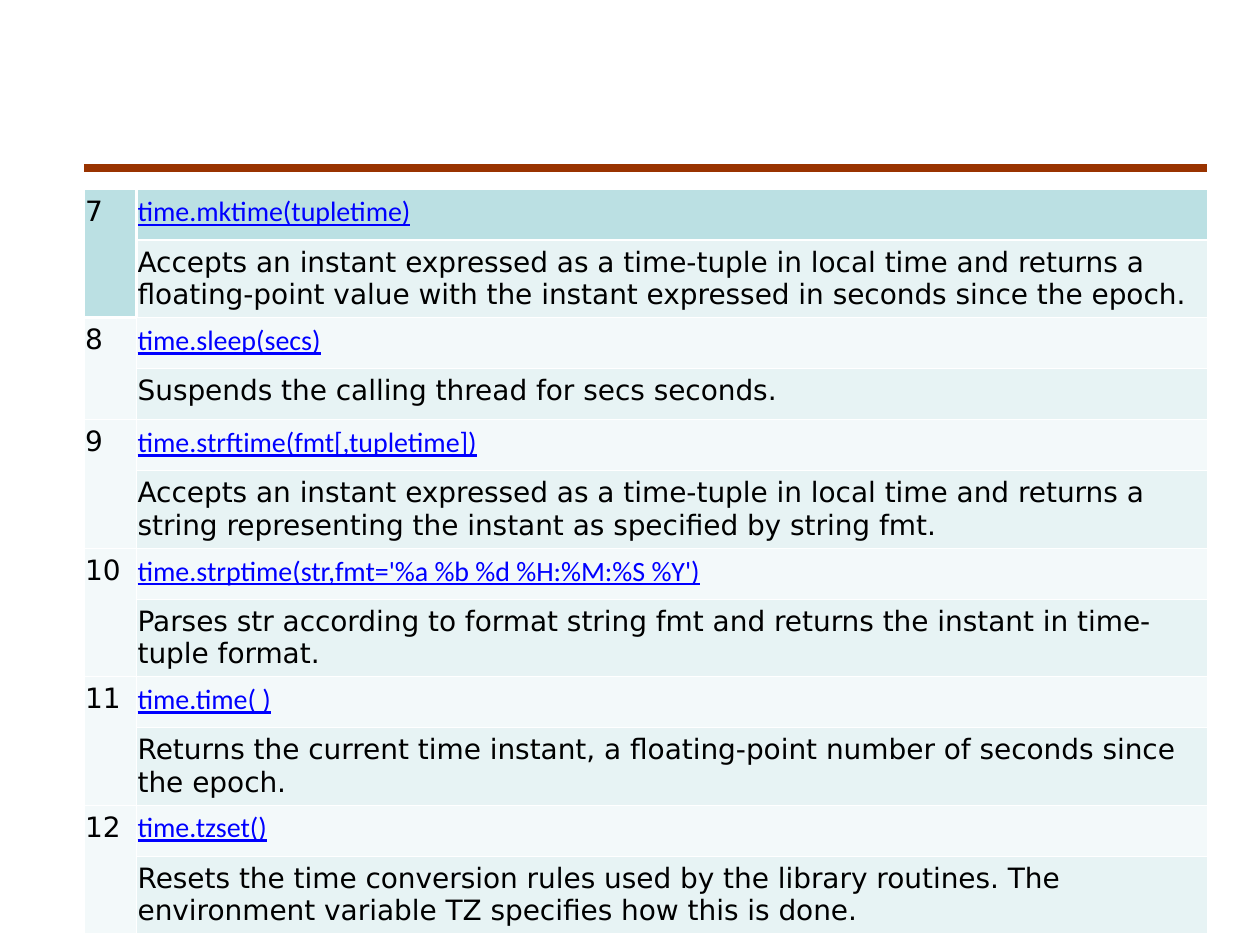
"""Build a slide with a table of Python time module functions."""
from lxml import etree
from pptx import Presentation
from pptx.dml.color import RGBColor
from pptx.enum.shapes import MSO_CONNECTOR
from pptx.oxml.ns import qn
from pptx.util import Pt

STRAIGHT = MSO_CONNECTOR.STRAIGHT

FUNCTIONS = [
    ("7", "time.mktime(tupletime)",
     "Accepts an instant expressed as a time-tuple in local time and returns a "
     "floating-point value with the instant expressed in seconds since the epoch."),
    ("8", "time.sleep(secs)", "Suspends the calling thread for secs seconds."),
    ("9", "time.strftime(fmt[,tupletime])",
     "Accepts an instant expressed as a time-tuple in local time and returns a "
     "string representing the instant as specified by string fmt."),
    ("10", "time.strptime(str,fmt='%a %b %d %H:%M:%S %Y')",
     "Parses str according to format string fmt and returns the instant in "
     "time-tuple format."),
    ("11", "time.time( )",
     "Returns the current time instant, a floating-point number of seconds since "
     "the epoch."),
    ("12", "time.tzset()",
     "Resets the time conversion rules used by the library routines. The "
     "environment variable TZ specifies how this is done."),
]
COLORS = {"rule": "993300", "border": "FFFFFF", "first": "BBE0E3", "name": "F3F9FA",
          "description": "E7F3F4", "text": "000000", "link": "0000FF"}
LEFT, RULE_TOP, TABLE_TOP = 48, 96, 108
COLUMNS = (30, 612)
SHORT_ROW, TALL_ROW, LINE_LENGTH = 29.2, 39, 75
THIN, THICK = 0.45, 1.47
THICK_EDGES = {(0, 0): "RB", (1, 0): "RB", (0, 1): "B", (1, 1): "LT", (2, 0): "T"}


def color(name):
    return RGBColor.from_string(COLORS[name])


def add_borders(cell, thick_edges):
    properties = cell._tc.get_or_add_tcPr()
    for edge in "LRTB":
        width = THICK if edge in thick_edges else THIN
        line = etree.SubElement(properties, qn(f"a:ln{edge}"), w=str(int(Pt(width))))
        fill = etree.SubElement(line, qn("a:solidFill"))
        etree.SubElement(fill, qn("a:srgbClr"), val=COLORS["border"])


def write_cell(cell, text, fill, link=False):
    cell.fill.solid()
    cell.fill.fore_color.rgb = color(fill)
    cell.margin_left = cell.margin_right = Pt(0.7)
    cell.margin_top = cell.margin_bottom = Pt(3.6)
    cell.text = text
    font = cell.text_frame.paragraphs[0].font
    font.size = Pt(16)
    font.name = "Calibri" if link else "DejaVu Sans"
    font.underline = link
    font.color.rgb = color("link" if link else "text")


def add_rule(page):
    rule = page.shapes.add_connector(
        STRAIGHT, Pt(LEFT), Pt(RULE_TOP), Pt(LEFT + sum(COLUMNS)), Pt(RULE_TOP))
    rule.line.color.rgb = color("rule")
    rule.line.width = Pt(4.5)
    etree.SubElement(rule._element.spPr, qn("a:effectLst"))


def add_function_table(page):
    heights = []
    for _, _, description in FUNCTIONS:
        heights += [SHORT_ROW, TALL_ROW if len(description) > LINE_LENGTH else SHORT_ROW]
    table = page.shapes.add_table(
        len(heights), len(COLUMNS), Pt(LEFT), Pt(TABLE_TOP),
        Pt(sum(COLUMNS)), Pt(sum(heights))).table
    table.first_row = table.horz_banding = False
    for column, width in zip(table.columns, COLUMNS):
        column.width = Pt(width)
    for index, height in enumerate(heights):
        table.rows[index].height = Pt(height)
        for side in range(len(COLUMNS)):
            add_borders(table.cell(index, side), THICK_EDGES.get((index, side), ""))
    for index, (number, name, description) in enumerate(FUNCTIONS):
        top = 2 * index
        fill = "name" if index else "first"
        table.cell(top, 0).merge(table.cell(top + 1, 0))
        write_cell(table.cell(top, 0), number, fill)
        write_cell(table.cell(top, 1), name, fill, link=True)
        write_cell(table.cell(top + 1, 1), description, "description")


def main():
    deck = Presentation()
    deck.slide_width, deck.slide_height = Pt(720), Pt(540)
    page = deck.slides.add_slide(deck.slide_layouts[6])
    add_rule(page)
    add_function_table(page)
    deck.save("out.pptx")


if __name__ == "__main__":
    main()
